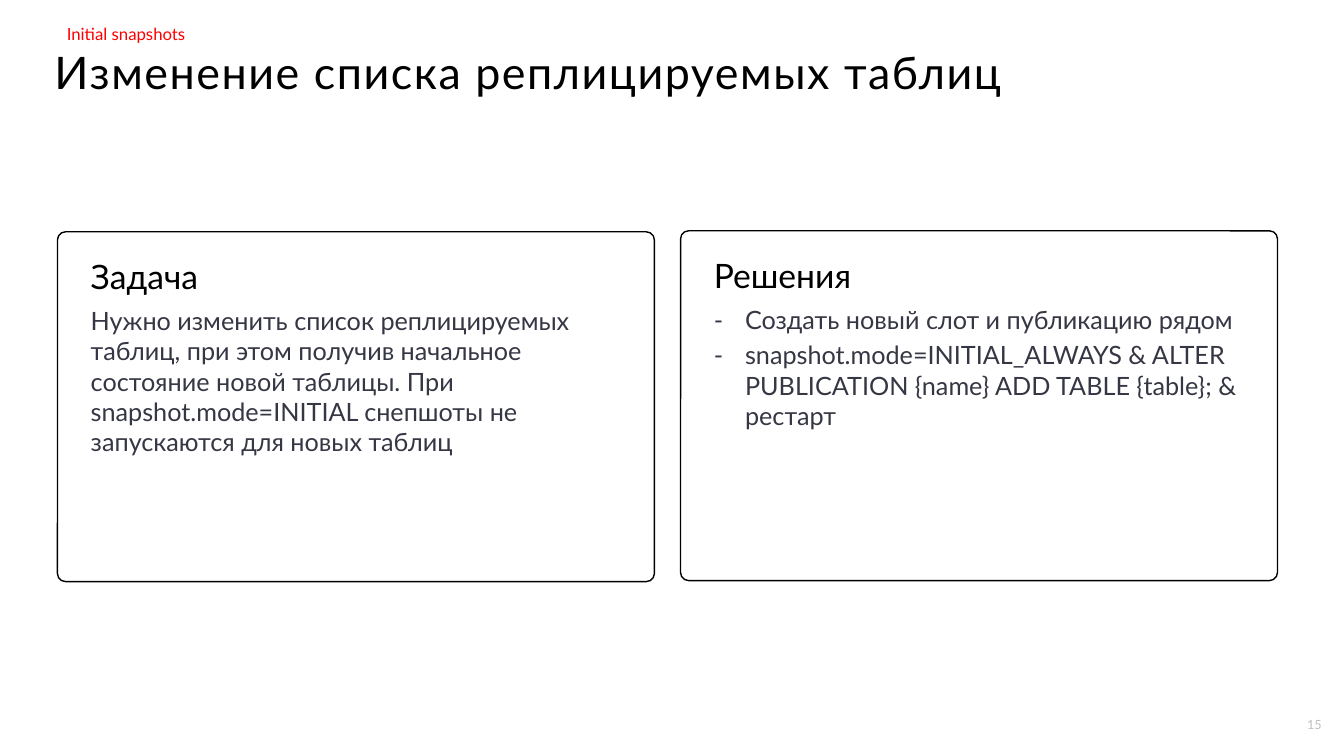
from lxml.etree import SubElement
from pptx import Presentation
from pptx.dml.color import RGBColor
from pptx.enum.shapes import MSO_SHAPE
from pptx.enum.text import MSO_ANCHOR, MSO_AUTO_SIZE, PP_ALIGN
from pptx.oxml.ns import qn
from pptx.util import Inches, Pt

BLACK = RGBColor(0x00, 0x00, 0x00)
WHITE = RGBColor(0xFF, 0xFF, 0xFF)
SLATE = RGBColor(0x36, 0x37, 0x44)
RED = RGBColor(0xFF, 0x00, 0x00)
GREY = RGBColor(0xBF, 0xBF, 0xBF)
FONT = "Lato"


def place(sp, left, top, width, height):
    sp.left, sp.top = Inches(left), Inches(top)
    sp.width, sp.height = Inches(width), Inches(height)


def set_bullet(p, bullet, indent):
    pPr = p._p.get_or_add_pPr()
    pPr.set("marL", str(Inches(indent)))
    pPr.set("indent", str(-Inches(indent)))
    if bullet:
        SubElement(pPr, qn("a:buFont"), typeface=FONT)
        SubElement(pPr, qn("a:buChar"), char=bullet)
    else:
        SubElement(pPr, qn("a:buNone"))


def write(sp, *lines, size=18, color=SLATE, anchor=MSO_ANCHOR.TOP,
          align=PP_ALIGN.LEFT, inset=0, bullet=None, line_spacing=None,
          tracking=None):
    tf = sp.text_frame
    tf.word_wrap = True
    tf.auto_size = MSO_AUTO_SIZE.NONE
    tf.vertical_anchor = anchor
    tf.margin_left = tf.margin_right = Inches(inset)
    tf.margin_top = tf.margin_bottom = Inches(inset / 2)
    for i, line in enumerate(lines):
        p = tf.add_paragraph() if i else tf.paragraphs[0]
        set_bullet(p, bullet, 0.31 if bullet else 0)
        p.alignment = align
        p.space_before = Pt(0.2 * size if i else 0)
        if line_spacing:
            p.line_spacing = line_spacing
        r = p.add_run()
        r.text = line
        r.font.name, r.font.size, r.font.bold = FONT, Pt(size), False
        r.font.color.rgb = color
        if tracking:
            r._r.get_or_add_rPr().set("spc", str(round(tracking * 100)))


def add_round_rect(slide, left, top, width, height, radius):
    sp = slide.shapes.add_shape(
        MSO_SHAPE.ROUNDED_RECTANGLE, Inches(left), Inches(top),
        Inches(width), Inches(height))
    sp.adjustments[0] = radius
    sp.shadow.inherit = False
    return sp


def add_header(slide, left, top, width, label, title):
    # Title
    place(slide.shapes.title, left, top + 0.32, width, 0.39)
    write(slide.shapes.title, title, size=32, color=BLACK,
          line_spacing=0.9, tracking=1.1)
    # Section label above the title
    sp = add_round_rect(slide, left + 0.02, top, width, 0.32, 0.05)
    sp.fill.background()
    sp.line.fill.background()
    write(sp, label, size=12, color=RED, anchor=MSO_ANCHOR.MIDDLE, inset=0.1)


def add_card(slide, left, top, width, height, heading, body,
             title, lines, bullet=None):
    # Frame, sent behind the placeholders
    sp = add_round_rect(slide, left, top, width, height, 0.023)
    sp.fill.solid()
    sp.fill.fore_color.rgb = WHITE
    sp.line.color.rgb = BLACK
    sp.line.width = Pt(1)
    slide.shapes._spTree.insert(2, sp._element)
    # Heading and text
    place(heading, left + 0.33, top + 0.31, 4.08, 0.33)
    write(heading, title, size=24, color=BLACK, anchor=MSO_ANCHOR.BOTTOM)
    place(body, left + 0.33, top + 0.73, 5.27, 2.81)
    write(body, *lines, bullet=bullet)


def add_page_number(slide, left, top, width, height, number):
    sp = slide.shapes.add_textbox(
        Inches(left), Inches(top), Inches(width), Inches(height))
    write(sp, number, size=9, color=GREY, align=PP_ALIGN.RIGHT)


def main():
    prs = Presentation()
    prs.slide_width, prs.slide_height = Inches(13.33), Inches(7.5)
    slide = prs.slides.add_slide(prs.slide_layouts.get_by_name("Comparison"))
    _, task_head, task_body, fix_head, fix_body = slide.placeholders

    add_header(slide, 0.54, 0.18, 11.77, "Initial snapshots",
               "Изменение списка реплицируемых таблиц")
    add_card(slide, 0.57, 2.3, 5.92, 3.47, task_head, task_body, "Задача", [
        "Нужно изменить список реплицируемых таблиц, при этом получив "
        "начальное состояние новой таблицы. При snapshot.mode=INITIAL "
        "снепшоты не запускаются для новых таблиц"])
    add_card(slide, 6.75, 2.29, 5.92, 3.47, fix_head, fix_body, "Решения", [
        "Создать новый слот и публикацию рядом",
        "snapshot.mode=INITIAL_ALWAYS & ALTER PUBLICATION {name} "
        "ADD TABLE {table}; & рестарт"], bullet="-")
    add_page_number(slide, 12.55, 7.11, 0.56, 0.2, "15")
    prs.save("out.pptx")


if __name__ == "__main__":
    main()
